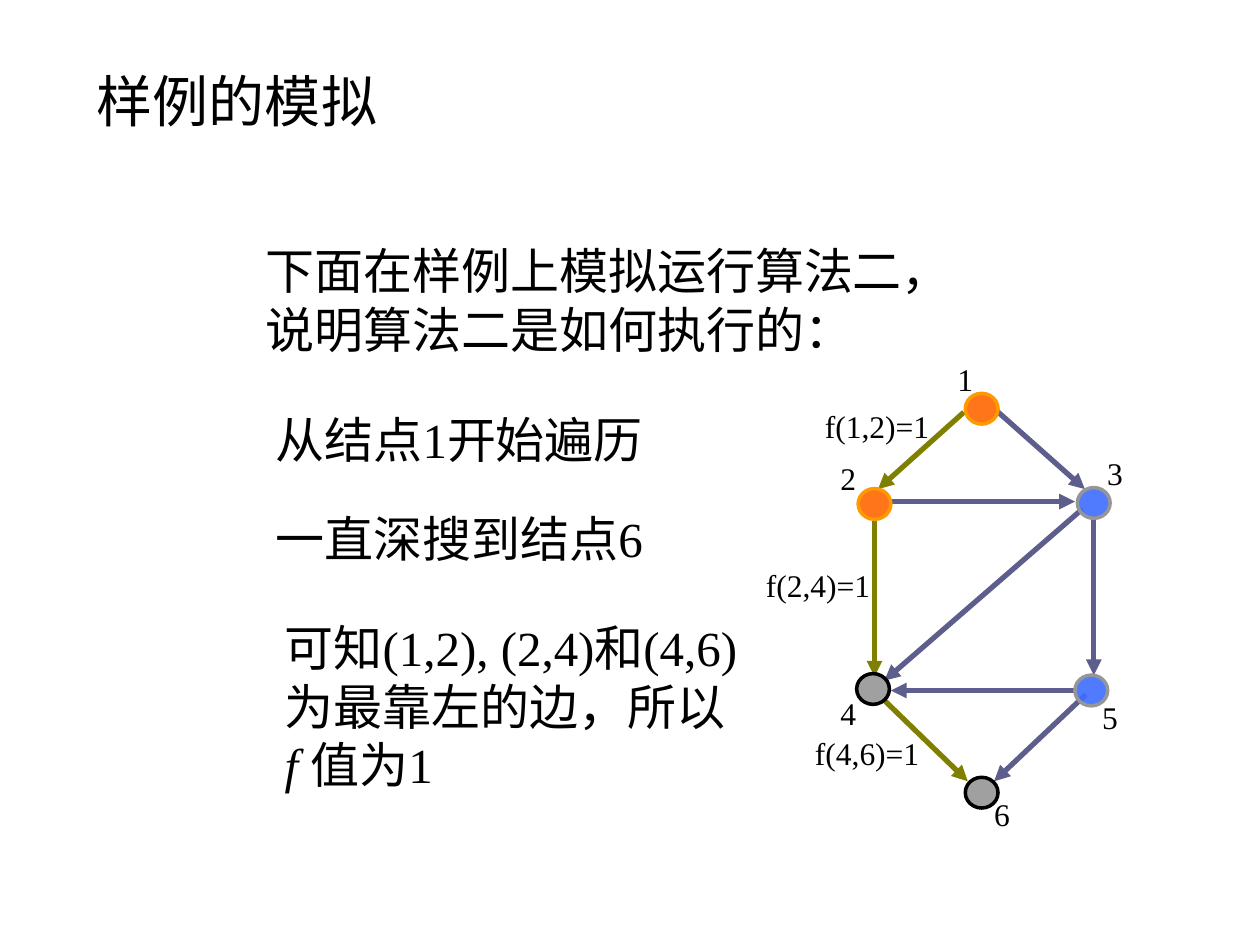
"""Build a slide that simulates a depth-first search on a six-node graph."""
from lxml.etree import SubElement
from pptx import Presentation
from pptx.dml.color import RGBColor
from pptx.enum.shapes import MSO_CONNECTOR, MSO_SHAPE
from pptx.enum.text import MSO_ANCHOR, MSO_AUTO_SIZE, PP_ALIGN
from pptx.oxml.ns import qn
from pptx.util import Cm, Pt

BLACK = RGBColor(0x00, 0x00, 0x00)
OLIVE = RGBColor(0x80, 0x80, 0x00)
SLATE = RGBColor(0x5E, 0x5E, 0x8C)
ORANGE = RGBColor(0xFF, 0x66, 0x00)
AMBER = RGBColor(0xFF, 0x99, 0x00)
BLUE = RGBColor(0x3F, 0x6D, 0xFF)
GRAY = RGBColor(0x96, 0x96, 0x96)

ON_PATH = (ORANGE, AMBER)
UNVISITED = (BLUE, GRAY)
FINISHED = (GRAY, BLACK)

EDGES = [
    ((21.67, 13.92), (17.96, 13.92), SLATE),
    ((19.43, 8.31), (17.7, 9.86), OLIVE),
    ((20.09, 8.28), (21.87, 9.86), SLATE),
    ((22.05, 10.46), (22.05, 13.61), SLATE),
    ((17.63, 10.44), (17.63, 13.64), OLIVE),
    ((21.82, 10.26), (17.83, 13.72), SLATE),
    ((21.89, 14), (20.04, 15.75), SLATE),
    ((17.83, 14.12), (19.51, 15.75), OLIVE),
    ((17.96, 10.11), (21.67, 10.11), SLATE),
]

NODES = [
    ("1", (19.79, 8.24), (19.05, 7.14), ON_PATH),
    ("2", (17.63, 10.16), (16.69, 9.12), ON_PATH),
    ("3", (22.05, 10.14), (22.07, 9.02), UNVISITED),
    ("4", (17.6, 13.89), (16.69, 13.87), FINISHED),
    ("5", (22, 13.92), (21.97, 13.94), UNVISITED),
    ("6", (19.79, 15.98), (19.79, 15.9), FINISHED),
]

FLOWS = [
    ("f(1,2)=1", 16.38, 8.08),
    ("f(2,4)=1", 15.19, 11.28),
    ("f(4,6)=1", 16.18, 14.68),
]

STEPS = [
    (["下面在样例上模拟运行算法二，说明算法二是如何执行的："], (5.11, 4.72, 14.6, 2.64)),
    (["从结点1开始遍历"], (5.31, 8.13, 8.61, 1.45)),
    (["一直深搜到结点6"], (5.31, 10.13, 8.41, 1.45)),
    (["可知(1,2), (2,4)和(4,6)为最靠左的边，所以 ", "f ", "值为1"],
     (5.49, 12.32, 9.8, 3.81)),
]


def add_text(paragraph, text, size=18, italic=False, color=BLACK, font="Times New Roman"):
    run = paragraph.add_run()
    run.text = text
    run.font.size = Pt(size)
    run.font.italic = italic
    run.font.name = font
    run.font.color.rgb = color


class GraphSlide:
    node_width, node_height = 0.66, 0.62
    edge_weight, outline_weight = Pt(3), Pt(2)
    opacity = "90000"

    def __init__(self, presentation):
        self.slide = presentation.slides.add_slide(presentation.slide_layouts[5])
        self.shapes = self.slide.shapes

    def title(self, text, left, top, width, height):
        heading = self.shapes.title
        heading.left, heading.top = Cm(left), Cm(top)
        heading.width, heading.height = Cm(width), Cm(height)
        heading.text_frame.vertical_anchor = MSO_ANCHOR.MIDDLE
        paragraph = heading.text_frame.paragraphs[0]
        paragraph.alignment = PP_ALIGN.LEFT
        add_text(paragraph, text, size=32)

    def text(self, parts, left, top, width, height, size=18):
        box = self.shapes.add_textbox(Cm(left), Cm(top), Cm(width), Cm(height))
        box.text_frame.word_wrap = True
        box.text_frame.auto_size = MSO_AUTO_SIZE.SHAPE_TO_FIT_TEXT
        for part in parts:
            add_text(box.text_frame.paragraphs[0], part, size=size, italic=part == "f ")

    def edge(self, start, end, color):
        arrow = self.shapes.add_connector(
            MSO_CONNECTOR.STRAIGHT, *map(Cm, start), *map(Cm, end))
        arrow.line.color.rgb = color
        arrow.line.width = self.edge_weight
        SubElement(arrow.line._get_or_add_ln(), qn("a:tailEnd"), type="triangle")
        SubElement(arrow._element.spPr, qn("a:effectLst"))

    def node(self, center, state):
        x, y = center
        fill, outline = state
        disc = self.shapes.add_shape(
            MSO_SHAPE.OVAL, Cm(x - self.node_width / 2), Cm(y - self.node_height / 2),
            Cm(self.node_width), Cm(self.node_height))
        disc.shadow.inherit = False
        disc.fill.solid()
        disc.fill.fore_color.rgb = fill
        tint = disc._element.spPr.find(qn("a:solidFill"))[0]
        SubElement(tint, qn("a:alpha"), val=self.opacity)
        disc.line.color.rgb = outline
        disc.line.width = self.outline_weight


def main():
    presentation = Presentation()
    presentation.slide_width, presentation.slide_height = Cm(25.4), Cm(19.05)
    graph = GraphSlide(presentation)
    graph.title("样例的模拟", 1.7, 1.12, 14.05, 1.8)
    for start, end, color in EDGES:
        graph.edge(start, end, color)
    for number, center, label_corner, state in NODES:
        graph.node(center, state)
        graph.text([number], *label_corner, 0.84, 1.02)
    for flow, left, top in FLOWS:
        graph.text([flow], left, top, 2.79, 1.02)
    for parts, area in STEPS:
        graph.text(parts, *area, size=28)
    presentation.save("out.pptx")


if __name__ == "__main__":
    main()
